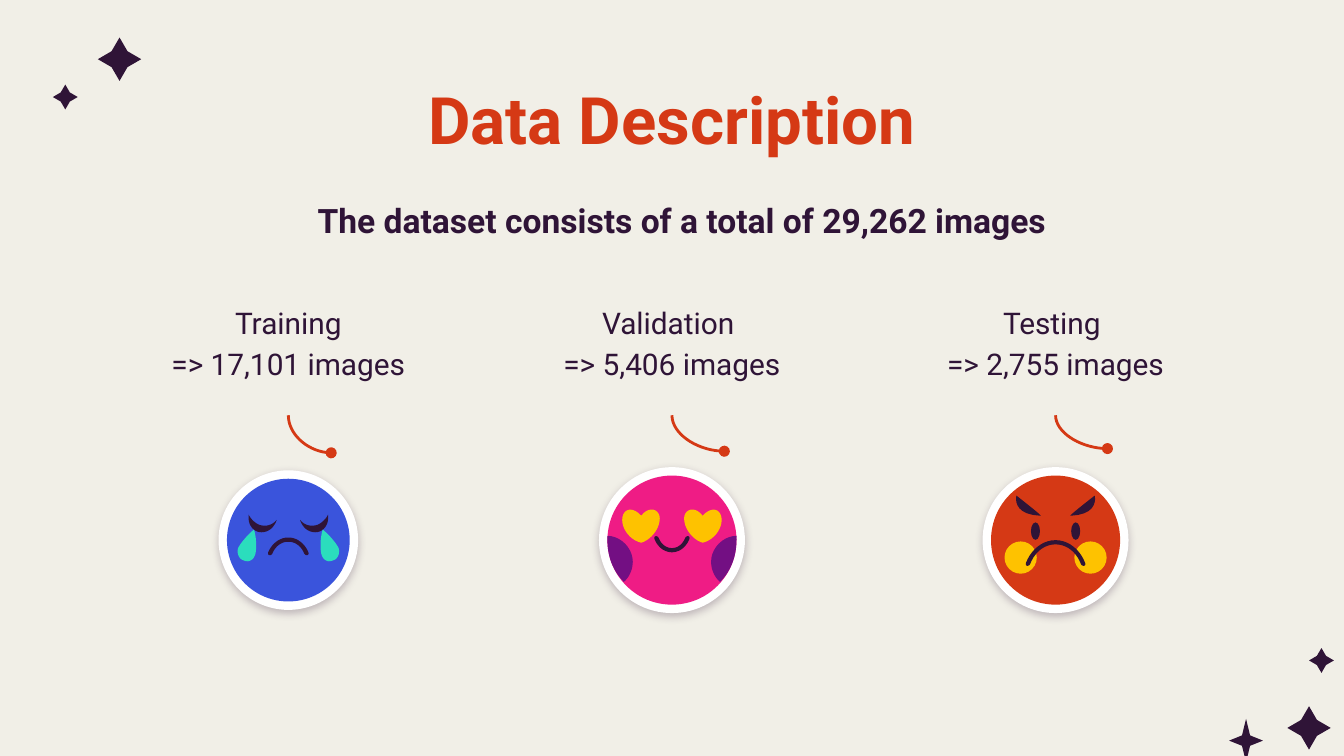
from lxml import etree
from pptx import Presentation
from pptx.dml.color import RGBColor
from pptx.enum.shapes import MSO_CONNECTOR, MSO_SHAPE
from pptx.enum.text import MSO_ANCHOR, PP_ALIGN
from pptx.oxml import parse_xml
from pptx.oxml.ns import nsdecls, qn
from pptx.util import Cm, Pt

OVAL, STAR = MSO_SHAPE.OVAL, MSO_SHAPE.STAR_4_POINT
CURVE = MSO_CONNECTOR.CURVE
CENTER, TOP = PP_ALIGN.CENTER, MSO_ANCHOR.TOP

FONT = "Roboto"
CREAM, INK, RED, WHITE = "F1EFE7", "2F1437", "D53915", "FFFFFF"
BLUE, PINK, PURPLE, YELLOW, TEAL = "3A54DC", "EF1C85", "730F83", "FEC200", "2BDDBD"

TITLE = "Data Description"
SUMMARY = "The dataset consists of a total of 29,262 images"

STARS = [
    (23.23, 13.59, 0.64, 0.82, 0.17),
    (1.0, 1.6, 0.47, 0.47, 0.26),
    (24.33, 13.35, 0.82, 0.82, 0.26),
    (24.74, 12.25, 0.47, 0.47, 0.26),
    (1.85, 0.71, 0.82, 0.82, 0.26),
]

EYELID = [(-.52, -.28), (-.39, -.25), (-.29, -.3), (-.22, -.38),
          (-.27, -.23), (-.39, -.13), (-.55, -.15),
          (-.7, -.18), (-.77, -.33), (-.75, -.48),
          (-.72, -.41), (-.62, -.3), (-.52, -.28)]
TEAR = [(-.65, -.2), (-.77, -.1), (-.9, .05), (-.95, .15),
        (-.98, .25), (-.93, .36), (-.85, .38),
        (-.75, .43), (-.65, .38), (-.62, .25),
        (-.6, .15), (-.6, -.05), (-.65, -.2)]
HEART = [(-.58, -.46), (-.76, -.66), (-.94, -.58), (-.94, -.38),
         (-.94, -.2), (-.79, 0), (-.58, .05),
         (-.41, 0), (-.23, -.2), (-.23, -.41),
         (-.23, -.58), (-.43, -.66), (-.58, -.46)]
BLUSH = [(-1.22, -.08), (-1.22, -.05), (-1.22, -.03), (-1.22, 0),
         (-1.22, .3), (-1.12, .58), (-.91, .79),
         (-.81, .71), (-.74, .56), (-.74, .41),
         (-.74, .15), (-.97, -.08), (-1.22, -.08)]
BROW = [(-.28, -.46), (-.25, -.46), (-.74, -.84), (-.74, -.84),
        (-.74, -.84), (-.84, -.48), (-.28, -.46)]

SPLITS = [
    {"lines": ["Training", "=> 17,101 images"], "color": BLUE, "diameter": 2.32,
     "pointer": (0.81, 0.71), "pairs": [(EYELID, INK), (TEAR, TEAL)],
     "discs": [], "mouth": (.38, .23, -.05)},
    {"lines": ["Validation ", "=> 5,406 images"], "color": PINK, "diameter": 2.44,
     "pointer": (0.99, 0.68), "pairs": [(BLUSH, PURPLE), (HEART, YELLOW)],
     "discs": [], "mouth": (.33, -.02, .23)},
    {"lines": ["Testing ", "=> 2,755 images"], "color": RED, "diameter": 2.44,
     "pointer": (0.98, 0.63), "pairs": [(BROW, INK)],
     "discs": [(.66, .33, .61, .61, YELLOW), (.38, -.17, .17, .33, INK)],
     "mouth": (.56, .43, 0)},
]
MIDDLE, STEP, FACE_Y, POINTER_Y = 12.7, 7.25, 10.21, 7.85


def rgb(value):
    """Turn a hex string into a colour."""
    return RGBColor.from_string(value)


def paint(shape, color):
    """Give a shape a plain fill without line or shadow."""
    shape.shadow.inherit = False
    shape.fill.solid()
    shape.fill.fore_color.rgb = rgb(color)
    shape.line.fill.background()
    return shape


def add_disc(slide, x, y, width, height, color):
    """Draw an ellipse around a centre."""
    disc = slide.shapes.add_shape(
        OVAL, Cm(x - width / 2), Cm(y - height / 2), Cm(width), Cm(height))
    return paint(disc, color)


def add_outline(slide, x, y, points, color, side=1, steps=10):
    """Draw a closed chain of cubic curves, mirrored when side is -1."""
    curve = [points[0]]
    for i in range(0, len(points) - 1, 3):
        for step in range(1, steps + 1):
            t = step / steps
            weights = ((1 - t) ** 3, 3 * t * (1 - t) ** 2, 3 * t * t * (1 - t), t ** 3)
            curve.append([sum(w * p[axis] for w, p in zip(weights, points[i:i + 4]))
                          for axis in (0, 1)])
    spots = [(Cm(x + side * px), Cm(y + py)) for px, py in curve]
    builder = slide.shapes.build_freeform(*spots[0], scale=1.0)
    builder.add_line_segments(spots[1:], close=True)
    paint(builder.convert_to_shape(), color)


def mouth_outline(half, end, crest, thickness=0.08):
    """Return the curves of a bent mouth with rounded ends."""
    bend = 1 if crest < end else -1
    inner, inner_crest = half - thickness, crest + bend * thickness
    tip = end + bend * 0.02
    rise, inner_rise = end + (crest - end) * .57, tip + (inner_crest - tip) * .57
    cap = end + bend * 0.07
    return [(-half, end), (-.83 * half, rise), (-.45 * half, crest), (0, crest),
            (.45 * half, crest), (.83 * half, rise), (half, end),
            (half + .02, cap), (inner + .02, cap), (inner, tip),
            (.83 * inner, inner_rise), (.47 * inner, inner_crest), (0, inner_crest),
            (-.47 * inner, inner_crest), (-.83 * inner, inner_rise), (-inner, tip),
            (-inner - .02, cap), (-half - .02, cap), (-half, end)]


def add_text(slide, lines, left, top, width, height, size=16, color=INK,
             bold=False, spacing=1.0, indent=0):
    """Write centred lines in a text box."""
    frame = slide.shapes.add_textbox(Cm(left), Cm(top), Cm(width), Cm(height)).text_frame
    frame.word_wrap, frame.vertical_anchor = True, TOP
    frame.margin_left = frame.margin_right = Cm(0.25)
    frame.margin_top = frame.margin_bottom = Cm(0.25)
    for i, line in enumerate(lines):
        paragraph = frame.add_paragraph() if i else frame.paragraphs[0]
        paragraph.alignment, paragraph.line_spacing = CENTER, spacing
        paragraph._p.get_or_add_pPr().set("marL", str(Cm(indent)))
        run = paragraph.add_run()
        run.text = line
        run.font.name, run.font.size, run.font.bold = FONT, Pt(size), bold
        run.font.color.rgb = rgb(color)


def add_pointer(slide, x, y, width, height):
    """Draw a quarter curve that leaves downwards and ends in a dot."""
    left, top = x + (width - height) / 2, y + (height - width) / 2
    pointer = slide.shapes.add_connector(
        CURVE, Cm(left), Cm(top), Cm(left + height), Cm(top + width))
    pointer.line.color.rgb, pointer.line.width = rgb(RED), Pt(1.5)
    properties = pointer._element.spPr
    properties.xfrm.set("rot", "16200000")
    properties.xfrm.set("flipH", "1")
    properties.find(qn("a:prstGeom")).set("prst", "curvedConnector2")
    etree.SubElement(pointer.line._get_or_add_ln(), qn("a:tailEnd"), type="oval")
    etree.SubElement(properties, qn("a:effectLst"))


def add_face(slide, x, y, split):
    """Draw a face on a white disc with a soft shadow."""
    size = split["diameter"]
    rim = add_disc(slide, x, y, size, size, WHITE)
    rim.line.color.rgb, rim.line.width = rgb(WHITE), Pt(9)
    rim._element.spPr.find(qn("a:effectLst")).append(parse_xml(
        f'<a:outerShdw {nsdecls("a")} blurRad="57150" dist="19050" dir="5400000" '
        f'algn="bl" rotWithShape="0"><a:srgbClr val="{INK}"><a:alpha val="25000"/>'
        '</a:srgbClr></a:outerShdw>'))
    add_disc(slide, x, y, size, size, split["color"])
    for side in (1, -1):
        for points, color in split["pairs"]:
            add_outline(slide, x, y, points, color, side)
        for dx, dy, width, height, color in split["discs"]:
            add_disc(slide, x + side * dx, y + dy, width, height, color)
    add_outline(slide, x, y, mouth_outline(*split["mouth"]), INK)


def main():
    """Build the slide."""
    deck = Presentation()
    deck.slide_width, deck.slide_height = Cm(25.4), Cm(14.29)
    slide = deck.slides.add_slide(deck.slide_layouts[6])
    slide.background.fill.solid()
    slide.background.fill.fore_color.rgb = rgb(CREAM)
    for left, top, width, height, waist in STARS:
        star = slide.shapes.add_shape(STAR, Cm(left), Cm(top), Cm(width), Cm(height))
        star.adjustments[0] = waist
        paint(star, INK)
    add_text(slide, [TITLE], 2.0, 1.25, 21.4, 1.6, size=35, color=RED, bold=True)
    add_text(slide, [SUMMARY], 2.0, 3.53, 21.4, 0.9, size=18, bold=True, indent=0.38)
    for column, split in enumerate(SPLITS):
        x = MIDDLE + (column - 1) * STEP
        add_text(slide, split["lines"], x - 3.28, 5.41, 6.56, 2.44, spacing=1.15)
        add_face(slide, x, FACE_Y, split)
        add_pointer(slide, x, POINTER_Y, *split["pointer"])
    deck.save("out.pptx")


if __name__ == "__main__":
    main()
